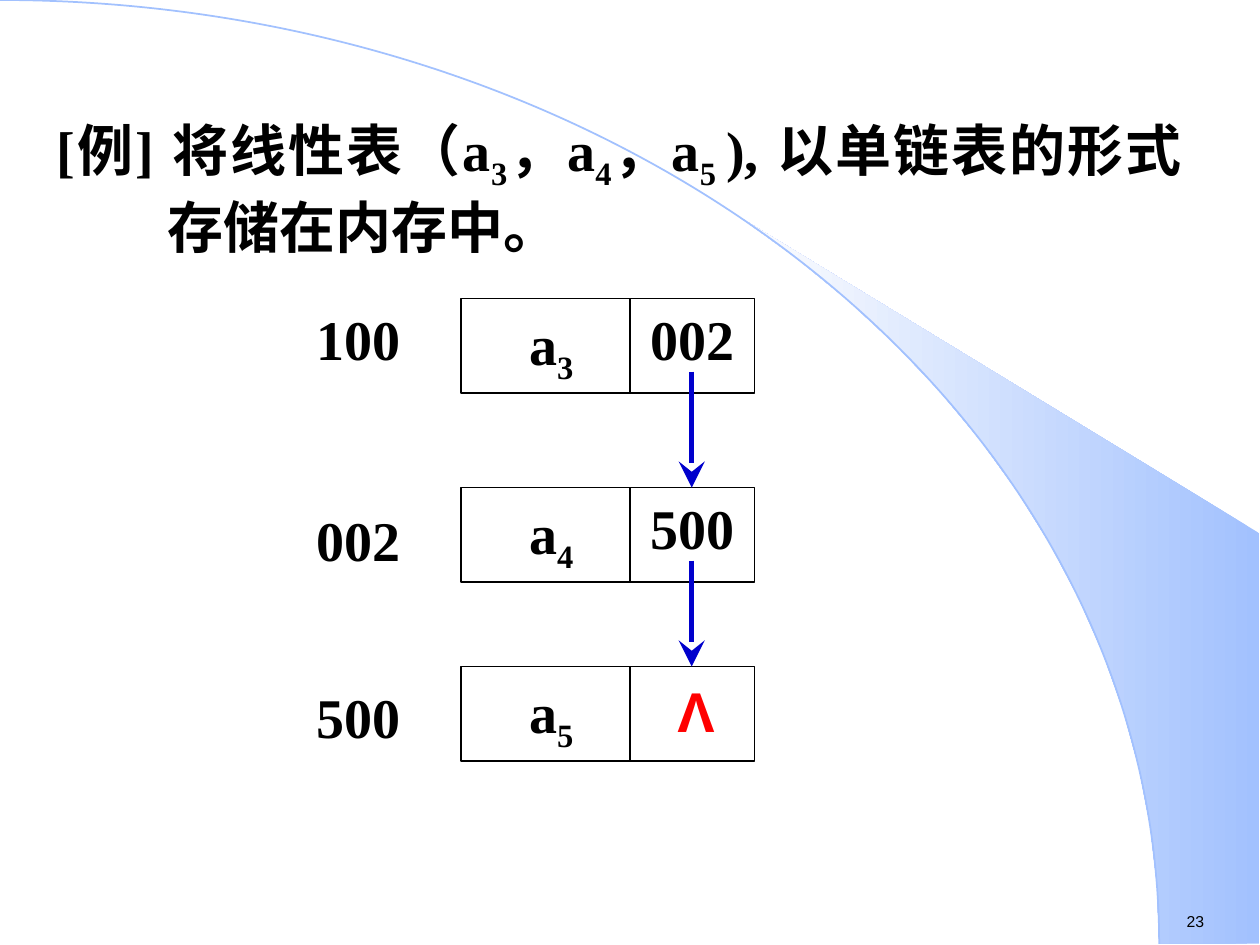
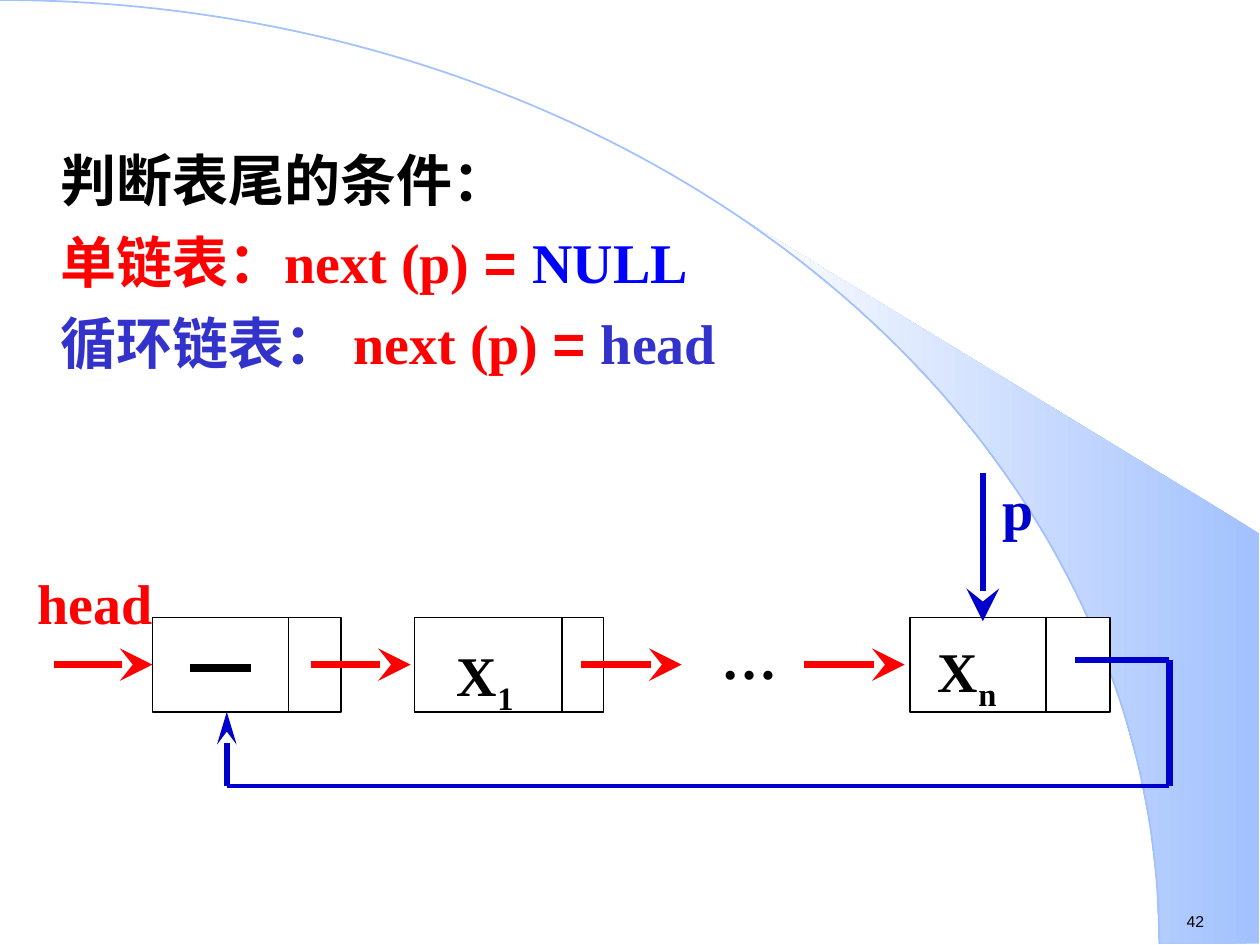
import math
from lxml import etree
from pptx import Presentation
from pptx import util as u
from pptx.dml.color import RGBColor
from pptx.enum import shapes, text
from pptx.oxml.ns import qn

BLACK = RGBColor(0, 0, 0)
WHITE = RGBColor(255, 255, 255)
PALE = RGBColor(0xFE, 0xFE, 0xFE)
SKY = RGBColor(0xA2, 0xC1, 0xFE)
RED = RGBColor(255, 0, 0)
BLUE = RGBColor(0, 0, 255)
NAVY = RGBColor(0, 0, 0xCC)
INDIGO = RGBColor(0x33, 0x33, 0xCC)

COLUMNS, ROWS = 10, 7.5
CELL = u.Inches(1)
BODY = {"size": u.Pt(32), "name": "Times New Roman", "bold": True}
NUMBER = {"size": u.Pt(9), "name": "Arial", "bold": False}
SUB = {"baseline": -25000}
SANS = {"name": "Arial"}
PADDED = (0.1, 0.05, 0.1, 0.05)
TIGHT = (0, 0, 0, 0)
CENTER = {"alignment": text.PP_ALIGN.CENTER}
SNUG = {**CENTER, "line_spacing": 0.8}
LOOSE = {**CENTER, "line_spacing": 1.2}
WIDE_HEAD = {"type": "stealth", "w": "lg", "len": "lg"}
SLIM_HEAD = {"type": "stealth", "w": "med", "len": "lg"}

ARC_WIDTH, ARC_HEIGHT = 9.2, 7.49
FLARE_ANGLE = math.asin(0.64)
FLARE_STEPS = 14
FLARE_CORNER = [(9.99, ARC_HEIGHT), (9.99, 4.23)]
NODE_HEIGHT = 0.75

EXAMPLE = [
    ("[例] 将线性表（a", {}), ("3", SUB), ("，a", {}), ("4", SUB), ("，a", {}),
    ("5 ", SUB), ("), 以单链表的形式存储在内存中。", {}),
]
STORED_NODES = [
    {"top": 2.37, "label_top": 2.37, "address": "100", "index": "3", "next": "002"},
    {"top": 3.87, "label_top": 3.96, "address": "002", "index": "4", "next": "500"},
    {"top": 5.29, "label_top": 5.37, "address": "500", "index": "5", "next": None},
]
STORED_LEFT, STORED_WIDTH, STORED_SPLIT, POINTER_X = 3.66, 2.33, 5, 5.49

CONDITIONS = [
    [("判断表尾的条件：", {})],
    [("单链表：next (p) ", {"color": RED}), ("= ", {"color": RED, **SANS}),
     ("NULL", {"color": BLUE})],
    [("循环链表： ", {"color": INDIGO}), ("next (p) ", {"color": RED}),
     ("= ", {"color": RED, **SANS}), ("head", {"color": INDIGO})],
]
RING_TOP = 4.9
RING_MIDDLE = RING_TOP + NODE_HEIGHT / 2
RING_NODES = {
    "head": {"left": 1.21, "width": 1.5, "split": 2.29},
    "first": {"left": 3.29, "width": 1.5, "split": 4.46},
    "last": {"left": 7.22, "width": 1.59, "split": 8.3},
}
RING_LABELS = [
    ((0.2, 4.46, 1.75, 0.64), [("head", {"color": RED})], PADDED, {}),
    ((5.63, 4.9, 0.75, 0.64), [("…", {})], PADDED, {}),
    ((3.51, 4.96, 0.68, 0.73), [("X", {}), ("1", SUB)], TIGHT, LOOSE),
    ((7.3, 4.93, 0.75, 0.73), [("X", {}), ("n", SUB)], TIGHT, LOOSE),
    ((7.92, 3.87, 0.32, 0.51), [("p", {"color": NAVY})], (0, 0, 0, 0.08), SNUG),
]
RED_ARROWS = [(0.43, 1.21, "head"), (2.47, 3.26, None),
              (4.61, 5.41, None), (6.38, 7.18, None)]
RETURN_LINES = [
    ((8.53, 5.24), (9.28, 5.24), 3.75, None),
    ((9.28, 5.24), (9.28, 6.24), 3.75, None),
    ((9.28, 6.24), (1.8, 6.24), 2.25, None),
    ((1.8, 6.24), (1.8, 5.65), 3.75, SLIM_HEAD),
    ((7.8, 3.75), (7.8, 4.93), 3.75, WIDE_HEAD),
]


def cells(*lengths):
    return [round(length * CELL) for length in lengths]


def assign(target, values):
    for name, value in values.items():
        setattr(target, name, value)


def write_spans(para, spans, base):
    for words, changes in spans:
        span = para.add_run()
        span.text = words
        values = {"color": BLACK, **base, **changes}
        span.font.color.rgb = values.pop("color")
        baseline = values.pop("baseline", None)
        assign(span.font, values)
        if baseline:
            span.font._element.set("baseline", str(baseline))


def add_text(page, place, paragraphs, insets=PADDED, layout=None, base=BODY,
             wrap=True, anchor=text.MSO_ANCHOR.TOP, indent=(0, 0), gap=0):
    frame = page.shapes.add_textbox(*cells(*place)).text_frame
    sides = ("margin_left", "margin_top", "margin_right", "margin_bottom")
    assign(frame, {**dict(zip(sides, cells(*insets))),
                   "word_wrap": wrap, "vertical_anchor": anchor})
    for position, spans in enumerate(paragraphs):
        para = frame.add_paragraph() if position else frame.paragraphs[0]
        margin, first = cells(*indent)
        properties = para._p.get_or_add_pPr()
        properties.set("marL", str(margin))
        properties.set("indent", str(first))
        assign(para, layout or {})
        if position:
            para.space_before = u.Pt(gap)
        write_spans(para, spans, base)


def add_line(page, start, end, color, width, head=None, target=None):
    line = page.shapes.add_connector(
        shapes.MSO_CONNECTOR.STRAIGHT, *cells(*start, *end))
    line.line.color.rgb = color
    line.line.width = u.Pt(width)
    if head:
        etree.SubElement(line.line._get_or_add_ln(), qn("a:tailEnd"), head)
    etree.SubElement(line._element.spPr, qn("a:effectLst"))
    if target is not None:
        line.end_connect(target, 1)


def add_node(page, left, top, width, split):
    box = page.shapes.add_shape(
        shapes.MSO_SHAPE.RECTANGLE, *cells(left, top, width, NODE_HEIGHT))
    box.shadow.inherit = False
    box.fill.solid()
    box.fill.fore_color.rgb = WHITE
    box.line.color.rgb = BLACK
    box.line.width = u.Pt(1)
    add_line(page, (split, top), (split, top + NODE_HEIGHT), BLACK, 1)
    return box


def add_flare(page):
    sweep = math.pi / 2 - FLARE_ANGLE
    angles = [FLARE_ANGLE + sweep * step / FLARE_STEPS
              for step in range(FLARE_STEPS + 1)]
    edge = [(ARC_WIDTH * math.sin(angle), ARC_HEIGHT * (1 - math.cos(angle)))
            for angle in angles]
    points = [cells(*point) for point in edge + FLARE_CORNER]
    builder = page.shapes.build_freeform(*points[0])
    builder.add_line_segments(points[1:], close=True)
    flare = builder.convert_to_shape()
    flare.shadow.inherit = False
    flare.fill.gradient()
    flare.fill.gradient_angle = 180
    for position, (stop, color) in enumerate(
            zip(flare.fill.gradient_stops, (SKY, PALE))):
        stop.color.rgb = color
        stop.position = position
    flare.line.fill.background()


def add_arc(page):
    arc = page.shapes.add_shape(
        shapes.MSO_SHAPE.ARC,
        *cells(-ARC_WIDTH, 0, 2 * ARC_WIDTH, 2 * ARC_HEIGHT))
    arc.shadow.inherit = False
    arc.fill.background()
    arc.line.color.rgb = SKY
    arc.line.width = u.Pt(1)


def add_page(deck, number):
    page = deck.slides.add_slide(deck.slide_layouts[6])
    add_flare(page)
    add_arc(page)
    add_text(page, (9.32, 7.19, 0.77, 0.25), [[(number, {})]],
             base=NUMBER, wrap=False)
    return page


def build_storage_page(deck):
    page = add_page(deck, "23")
    add_text(page, (0.35, 0.87, 9.13, 5.91), [EXAMPLE], indent=(0.88, -0.88),
             layout={"alignment": text.PP_ALIGN.JUSTIFY})
    for node in STORED_NODES:
        top = node["top"]
        add_node(page, STORED_LEFT, top, STORED_WIDTH, STORED_SPLIT)
        add_text(page, (3.75, top + 0.09, 1.25, 0.59),
                 [[("a", {}), (node["index"], SUB)]], layout=SNUG)
        add_text(page, (2.41, node["label_top"], 0.92, 0.64),
                 [[(node["address"], {})]])
        if node["next"]:
            add_text(page, (STORED_SPLIT, top, 1, 0.64),
                     [[(node["next"], {})]], layout=CENTER)
        else:
            add_text(page, (5.25, top + 0.12, 0.55, 0.49),
                     [[("Λ", {"color": RED, **SANS})]], TIGHT,
                     {**CENTER, "line_spacing": u.Pt(35)},
                     anchor=text.MSO_ANCHOR.BOTTOM)
    for node, following in zip(STORED_NODES, STORED_NODES[1:]):
        add_line(page, (POINTER_X, node["top"] + 0.58),
                 (POINTER_X, following["top"]), NAVY, 3, WIDE_HEAD)


def build_ring_page(deck):
    page = add_page(deck, "42")
    add_text(page, (0.27, 1.11, 9.49, 2.13), CONDITIONS, indent=(0.11, 0), gap=8)
    boxes = {name: add_node(page, top=RING_TOP, **node)
             for name, node in RING_NODES.items()}
    for place, spans, insets, layout in RING_LABELS:
        add_text(page, place, [spans], insets, layout)
    add_line(page, (1.51, 5.3), (1.99, 5.3), BLACK, 4.5)
    for start, end, target in RED_ARROWS:
        add_line(page, (start, RING_MIDDLE), (end, RING_MIDDLE), RED, 3.75,
                 WIDE_HEAD, boxes.get(target))
    for start, end, width, head in RETURN_LINES:
        add_line(page, start, end, NAVY, width, head)


def main():
    deck = Presentation()
    deck.slide_width, deck.slide_height = cells(COLUMNS, ROWS)
    build_storage_page(deck)
    build_ring_page(deck)
    deck.save("out.pptx")


if __name__ == "__main__":
    main()
